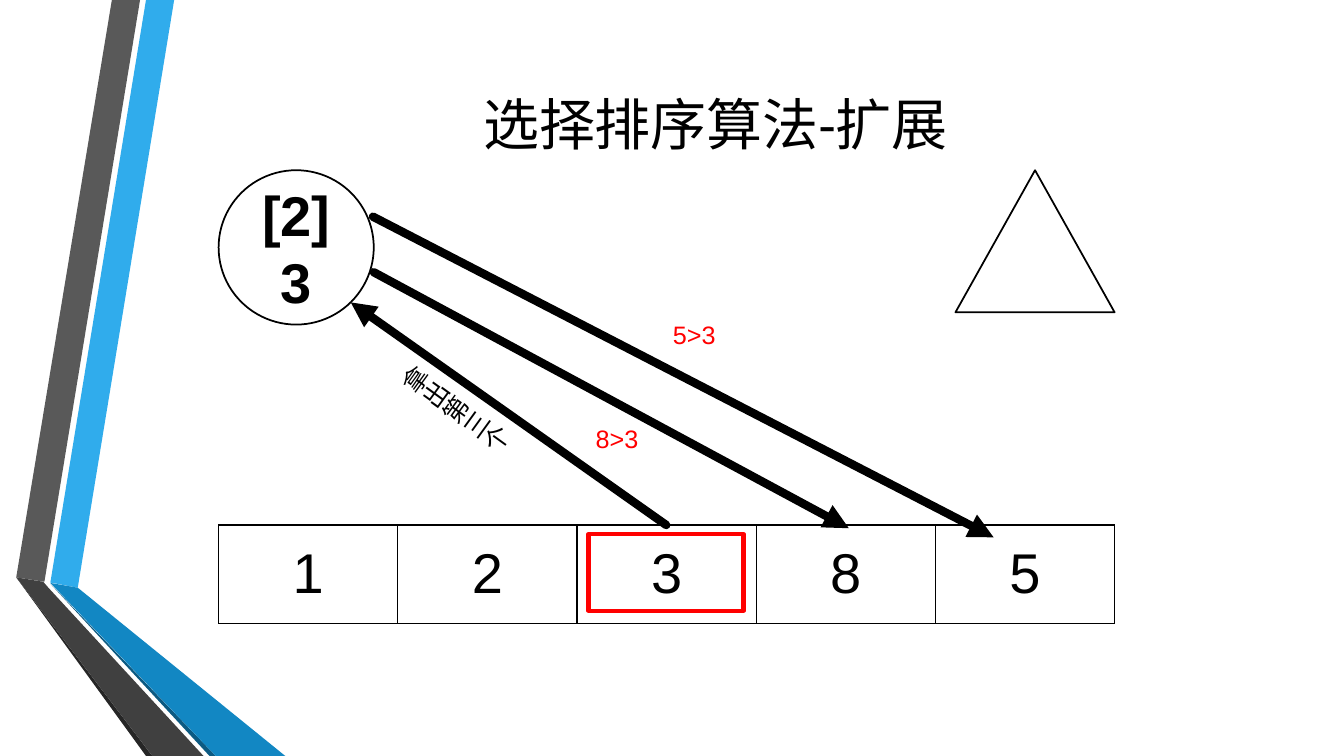
"""Build the selection sort slide with its array, arrows and comparisons."""
from lxml.etree import SubElement
from pptx import Presentation
from pptx.dml.color import RGBColor
from pptx.enum.shapes import MSO_CONNECTOR, MSO_SHAPE
from pptx.enum.text import MSO_ANCHOR, MSO_AUTO_SIZE, PP_ALIGN
from pptx.oxml.ns import qn
from pptx.util import Cm, Pt


def tint(code):
    return RGBColor.from_string(code)


def write(frame, text, size=40, font="Arial", color="000000", bold=False,
          align=PP_ALIGN.CENTER):
    para = frame.paragraphs[0]
    para.alignment = align
    run = para.add_run()
    run.text = text
    run.font.size = Pt(size)
    run.font.name = font
    run.font.bold = bold
    run.font.color.rgb = tint(color)


deck = Presentation()
deck.slide_width, deck.slide_height = Cm(33.87), Cm(19.05)
slide = deck.slides.add_slide(deck.slide_layouts[5])
shapes = slide.shapes

bands = [
    ("30ACEC", [(127, 1468), (196, 1481), (439, 0), (368, 0)]),
    ("595959", [(353, 0), (282, 0), (41, 1455), (112, 1466)]),
    ("262626", [(41, 1455), (368, 1905), (384, 1905)]),
    ("0C5A82", [(127, 1471), (528, 1905), (544, 1905)]),
    ("1287C3", [(127, 1469), (544, 1905), (719, 1905), (196, 1481)]),
    ("404040", [(513, 1905), (122, 1481), (109, 1466), (41, 1455), (384, 1905)]),
]
for color, points in bands:
    pen = shapes.build_freeform(*points[0], scale=Cm(0.01))
    pen.add_line_segments(points[1:], close=True)
    band = pen.convert_to_shape()
    band.shadow.inherit = False
    band.fill.solid()
    band.fill.fore_color.rgb = tint(color)
    band.line.fill.background()

title = shapes.title
title.left, title.top, title.width, title.height = Cm(4.11), Cm(1.9), Cm(27.84), Cm(2.39)
title.text_frame.auto_size = MSO_AUTO_SIZE.NONE
title.text_frame.vertical_anchor = MSO_ANCHOR.MIDDLE
write(title.text_frame, "选择排序算法-扩展", font="Calibri")

items = ["1", "2", "3", "8", "5"]
table = shapes.add_table(1, len(items), Cm(5.51), Cm(13.23), Cm(22.58), Cm(2.49)).table
table.first_row = table.horz_banding = False
for cell, item in zip(table.rows[0].cells, items):
    props = cell._tc.get_or_add_tcPr()
    for side in ("a:lnL", "a:lnR", "a:lnT", "a:lnB"):
        edge = SubElement(props, qn(side), w=str(Pt(1)))
        SubElement(SubElement(edge, qn("a:solidFill")), qn("a:srgbClr"), val="000000")
    cell.fill.background()
    cell.vertical_anchor = MSO_ANCHOR.MIDDLE
    write(cell.text_frame, item)

marks = [
    (MSO_SHAPE.OVAL, (5.51, 4.29, 3.91, 3.89), "000000", 1.25, "[2]3"),
    (MSO_SHAPE.RECTANGLE, (14.83, 13.46, 3.91, 1.93), "FF0000", 3, ""),
    (MSO_SHAPE.ISOSCELES_TRIANGLE, (24.08, 4.29, 4.01, 3.58), "000000", 1.25, ""),
]
for kind, box, color, width, text in marks:
    mark = shapes.add_shape(kind, *map(Cm, box))
    mark.shadow.inherit = False
    mark.fill.background()
    mark.line.color.rgb = tint(color)
    mark.line.width = Pt(width)
    if text:
        mark.text_frame.vertical_anchor = MSO_ANCHOR.MIDDLE
        write(mark.text_frame, text, bold=True)

arrows = [
    (16.79, 13.23, 8.84, 7.62),
    (9.42, 6.86, 21.39, 13.31),
    (9.4, 5.46, 25.04, 13.54),
]
for ends in arrows:
    arrow = shapes.add_connector(MSO_CONNECTOR.STRAIGHT, *map(Cm, ends))
    arrow.line.color.rgb = tint("000000")
    arrow.line.width = Pt(6)
    props = arrow._element.spPr
    line = props.find(qn("a:ln"))
    line.set("cap", "rnd")
    SubElement(line, qn("a:tailEnd"), type="triangle")
    SubElement(props, qn("a:effectLst"))

note = shapes.add_textbox(Cm(11.23), Cm(8.38), Cm(1.27), Cm(4.78))
note.rotation = 306
note.text_frame.word_wrap = True
note.text_frame._txBody.bodyPr.set("vert", "eaVert")
write(note.text_frame, "拿出第三个", size=18, font="Calibri", align=PP_ALIGN.LEFT)

for text, left, top in [("8>3", 14.76, 10.54), ("5>3", 16.71, 7.92)]:
    label = shapes.add_textbox(Cm(left), Cm(top), Cm(1.6), Cm(1.02))
    label.text_frame.word_wrap = False
    write(label.text_frame, text, size=18, color="FF0000", align=PP_ALIGN.LEFT)

deck.save("out.pptx")
